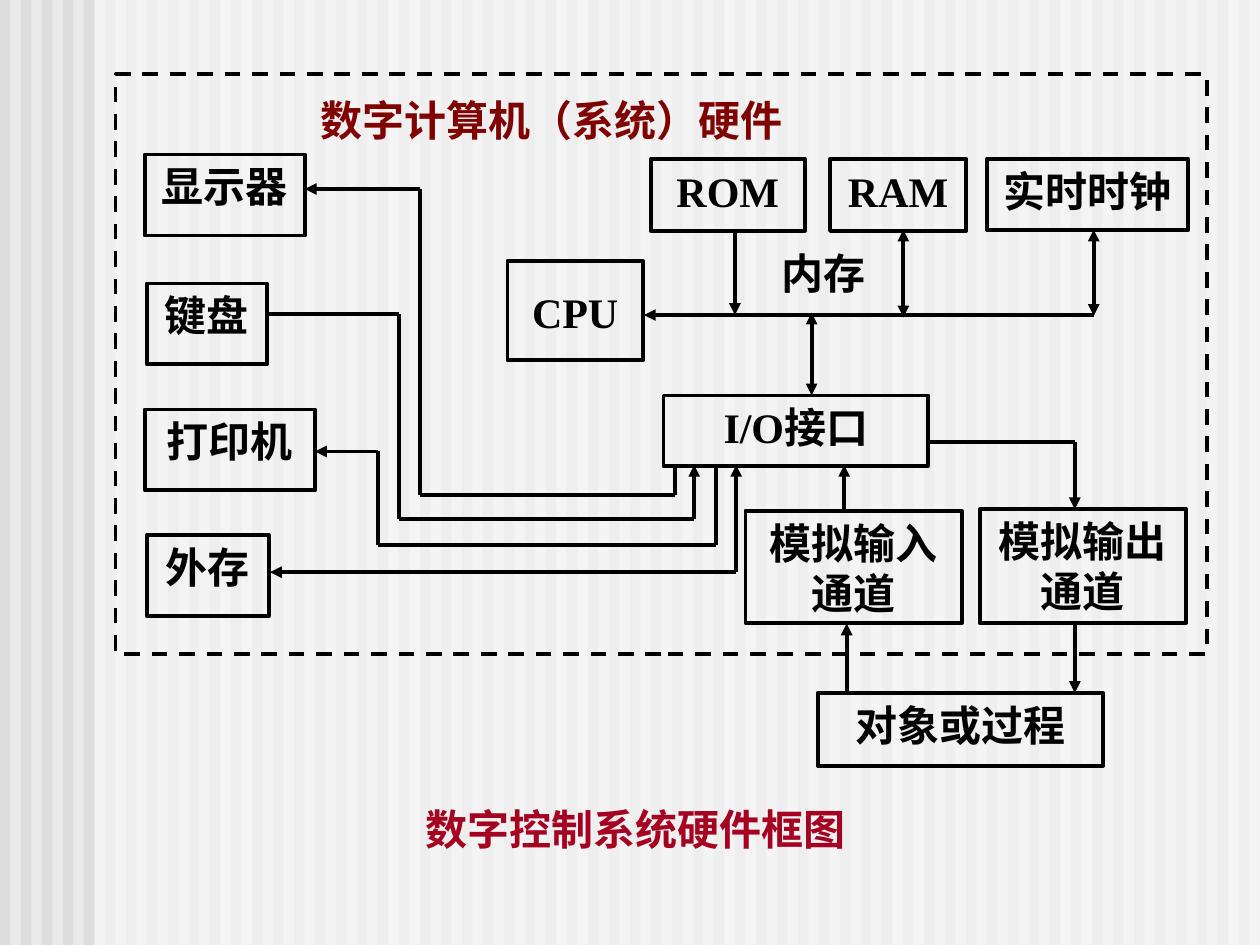
from dataclasses import dataclass
from itertools import pairwise

from lxml.etree import SubElement
from pptx import Presentation
from pptx.dml.color import RGBColor
from pptx.enum.dml import MSO_LINE_DASH_STYLE as Dash
from pptx.enum.shapes import MSO_CONNECTOR as Conn, MSO_SHAPE as Kind
from pptx.enum.text import MSO_ANCHOR as Anchor, PP_ALIGN as Align
from pptx.oxml.ns import qn
from pptx.util import Pt

BLACK = "000000"
PITCH = 12


@dataclass
class Box:
    text: str
    left: float
    top: float
    width: float
    height: float
    inset: float = 3.6


@dataclass
class Label(Box):
    inset: float = 12
    color: str = BLACK


@dataclass
class Wire:
    """A run of straight lines, with an arrow at its end or at both ends."""
    points: list[tuple[float, float]]
    both: bool = False


BOXES = [
    Box("显示器", 82.8, 88.3, 91.4, 46.3),
    Box("键盘", 84, 162, 68.6, 46.3),
    Box("打印机", 82.8, 234, 97.2, 46.3),
    Box("外存", 84, 305.8, 69.6, 46.3),
    Box("CPU", 290, 149, 77.3, 56.9, 15),
    Box("ROM", 372, 90.8, 87.8, 41.2),
    Box("RAM", 474.3, 90.8, 77.8, 41.2),
    Box("实时时钟", 564, 90.8, 115, 40.6),
    Box("I/O接口", 379.2, 226, 151.2, 40.5),
    Box("模拟输入通道", 426, 292, 123.8, 64),
    Box("模拟输出通道", 559.8, 291, 118, 65),
    Box("对象或过程", 467.4, 396, 163, 41.6),
]

LABELS = [
    Label("数字控制系统硬件框图", 180, 447, 366, 68.4, color="A50021"),
    Label("数字计算机（系统）硬件", 174, 42, 282.4, 60, color="800000"),
    Label("内存", 426, 129.6, 89.3, 68.4),
]

PORT = 265.7  # lower edge of the I/O box
WIRES = [
    Wire([(385.9, PORT), (385.9, 283), (240, 283), (240, 108), (174.2, 108)]),
    Wire([(152.6, 179.5), (228, 179.5), (228, 296.7), (396.7, 296.7), (396.7, PORT)]),
    Wire([(409, PORT), (409, 311.5), (216, 311.5), (216, 258), (180, 258)]),
    Wire([(420.7, PORT), (420.7, 327), (154.3, 327)], both=True),
    Wire([(625, 180), (368, 180)]),
    Wire([(420, 132), (420, 180)]),
    Wire([(516.2, 131.3), (516.2, 181.4)], both=True),
    Wire([(625, 131.3), (625, 180.5)], both=True),
    Wire([(463.8, 178.6), (463.8, 226)], both=True),
    Wire([(482.4, 292), (482.4, PORT)]),
    Wire([(530, 252.5), (614.2, 252.5), (614.2, 291)]),
    Wire([(483.8, 396), (483.8, 356.3)]),
    Wire([(614.2, 356.3), (614.2, 396)]),
]


def paint(font_or_fill, color: str) -> None:
    """Set a colour on a color format from a hex string."""
    font_or_fill.rgb = RGBColor.from_string(color)


def add_rect(shapes, left: float, top: float, width: float, height: float,
             fill: str | None = None):
    """Add a rectangle: filled without an edge, or empty with a black edge."""
    rect = shapes.add_shape(Kind.RECTANGLE, Pt(left), Pt(top), Pt(width), Pt(height))
    rect.shadow.inherit = False
    if fill:
        rect.fill.solid()
        paint(rect.fill.fore_color, fill)
        rect.line.fill.background()
    else:
        rect.fill.background()
        paint(rect.line.color, BLACK)
        rect.line.width = Pt(2.25)
    return rect


def set_text(shape, text: str, inset: float, color: str = BLACK) -> None:
    frame = shape.text_frame
    frame.text = text
    frame.word_wrap = True
    frame.vertical_anchor = Anchor.TOP
    frame.margin_left = frame.margin_right = Pt(7.2)
    frame.margin_top, frame.margin_bottom = Pt(inset), Pt(3.6)
    para = frame.paragraphs[0]
    para.alignment = Align.CENTER
    font = para.runs[0].font
    font.name, font.size, font.bold = "Times New Roman", Pt(24), True
    paint(font.color, color)


def add_box(shapes, box: Box) -> None:
    rect = add_rect(shapes, box.left, box.top, box.width, box.height)
    set_text(rect, box.text, box.inset)


def add_label(shapes, label: Label) -> None:
    area = shapes.add_textbox(Pt(label.left), Pt(label.top), Pt(label.width), Pt(label.height))
    set_text(area, label.text, label.inset, label.color)


def add_wire(shapes, wire: Wire) -> None:
    legs = list(pairwise(wire.points))
    for i, (start, end) in enumerate(legs):
        line = shapes.add_connector(Conn.STRAIGHT, *map(Pt, start + end))
        paint(line.line.color, BLACK)
        line.line.width = Pt(2.25)
        edge = line.line._get_or_add_ln()
        if wire.both and i == 0:
            SubElement(edge, qn("a:headEnd"), type="triangle")
        if i == len(legs) - 1:
            SubElement(edge, qn("a:tailEnd"), type="triangle")
        SubElement(line._element.spPr, qn("a:effectLst"))


def add_back(slide) -> None:
    """Draw the striped ground and the pale veil over its right part."""
    ground = slide.background.fill
    ground.solid()
    paint(ground.fore_color, "EAEAEA")
    for i in range(60):
        add_rect(slide.shapes, i * PITCH, 0, PITCH / 2, 540, "DDDDDD")
    veil = add_rect(slide.shapes, 54, 0, 666, 540, "FFFFFF")
    tint = veil._element.spPr.find(qn("a:solidFill"))[0]
    SubElement(tint, qn("a:alpha"), val="50000")


def main() -> None:
    deck = Presentation()
    deck.slide_width, deck.slide_height = Pt(720), Pt(540)
    slide = deck.slides.add_slide(deck.slide_layouts[6])
    shapes = slide.shapes
    add_back(slide)
    for label in LABELS:
        add_label(shapes, label)
    for wire in WIRES:
        add_wire(shapes, wire)
    frame = add_rect(shapes, 66, 42.5, 623.6, 331.2)
    frame.line.dash_style = Dash.DASH
    for box in BOXES:
        add_box(shapes, box)
    deck.save("out.pptx")


if __name__ == "__main__":
    main()
